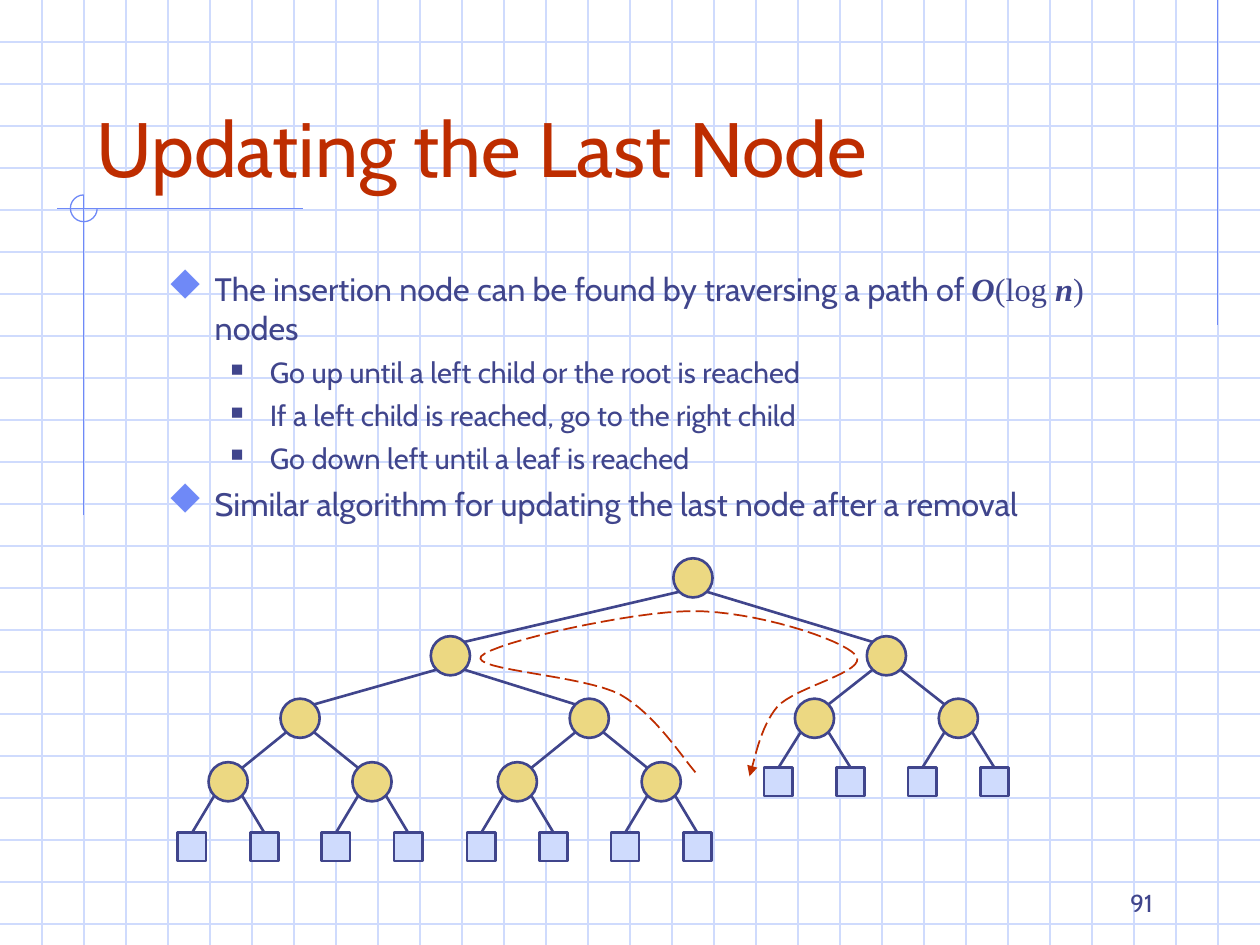
"""Build the slide "Updating the Last Node" with its heap tree and path."""
import collections

import lxml.etree
import pptx
import pptx.dml.color
import pptx.enum.dml
import pptx.enum.shapes
import pptx.enum.text
import pptx.oxml
import pptx.oxml.ns
import pptx.util

Cm, Pt = pptx.util.Cm, pptx.util.Pt
Color = pptx.dml.color.RGBColor.from_string
Kind = pptx.enum.shapes.MSO_SHAPE
Align = pptx.enum.text.PP_ALIGN
Anchor = pptx.enum.text.MSO_ANCHOR
qn = pptx.oxml.ns.qn

Theme = collections.namedtuple(
    "Theme", "ink red blue pale gold font math marks head main sub foot")
theme = Theme(
    ink=Color("40458C"), red=Color("BE2D00"), blue=Color("6F89F7"),
    pale=Color("CFDBFD"), gold=Color("ECD882"),
    font="Cabin", math="Times New Roman", marks="Wingdings",
    head=Pt(44), main=Pt(18.5), sub=Pt(16.6), foot=Pt(14))

deck = pptx.Presentation()
deck.slide_width, deck.slide_height = Cm(25.4), Cm(19.05)
slide = deck.slides.add_slide(deck.slide_layouts[6])
shapes = slide.shapes


def draw(start, end, color, width=0.75):
    """Draw a straight line between two points."""
    line = shapes.add_connector(
        pptx.enum.shapes.MSO_CONNECTOR.STRAIGHT,
        *[Cm(v) for v in (*start, *end)])
    line.line.color.rgb = color
    line.line.width = Pt(width)
    lxml.etree.SubElement(line._element.spPr, qn("a:effectLst"))


def write(place, anchor, rows):
    """Write rows of (runs, size, color, align, bullet) in a text box."""
    frame = shapes.add_textbox(*[Cm(v) for v in place]).text_frame
    frame.word_wrap = True
    frame.vertical_anchor = anchor
    for i, (runs, size, color, align, bullet) in enumerate(rows):
        para = frame.add_paragraph() if i else frame.paragraphs[0]
        if bullet:
            sign, tint, scale, left, hang, gap = bullet
            props = para._p.get_or_add_pPr()
            props.set("marL", str(Cm(left)))
            props.set("indent", str(-Cm(hang)))
            tag = lxml.etree.SubElement(props, qn("a:buClr"))
            lxml.etree.SubElement(tag, qn("a:srgbClr"), val=str(tint))
            lxml.etree.SubElement(props, qn("a:buSzPct"), val=str(scale * 1000))
            lxml.etree.SubElement(props, qn("a:buFont"), typeface=theme.marks,
                                  pitchFamily="2", charset="2")
            lxml.etree.SubElement(props, qn("a:buChar"), char=sign)
            if i:
                para.space_before = Pt(gap)
        para.alignment = align
        para.font.size, para.font.name = size, theme.font
        para.font.color.rgb = color
        for text, style in runs:
            run = para.add_run()
            run.text = text
            if style:
                run.font.name = theme.math
                run.font.bold = run.font.italic = style == "var"


step = 25.4 / 30
for i in range(1, 23):
    draw((0, i * step), (25.4, i * step), theme.pale)
for i in range(1, 30):
    draw((i * step, 0), (i * step, 19.05), theme.pale)

draw((24.55, 0), (24.55, 6.55), theme.blue)
draw((6.1, 4.2), (1.15, 4.2), theme.blue)
draw((1.69, 3.93), (1.69, 10.39), theme.blue)
arc = shapes.add_shape(Kind.ARC, Cm(1.42), Cm(3.93), Cm(0.54), Cm(0.54))
arc.adjustments[0], arc.adjustments[1] = 0, 162
arc.shadow.inherit = False
arc.fill.background()
arc.line.color.rgb = theme.blue
arc.line.width = Pt(0.75)

write((1.7, 0.84, 21.59, 3.18), Anchor.BOTTOM,
      [([("Updating the Last Node", "")], theme.head, theme.red, Align.LEFT, None)])

major = ("u", theme.blue, 110, 0.95, 0.95, 5)
minor = ("n", theme.ink, 60, 2.06, 0.79, 4.5)
points = [
    (major, [("The insertion node can be found by traversing a path of ", ""),
             ("O", "var"), ("(log ", "math"), ("n", "var"), (") ", "math"),
             ("nodes", "")]),
    (minor, [("Go up until a left child or the root is reached", "")]),
    (minor, [("If a left child is reached, go to the right child", "")]),
    (minor, [("Go down left until a leaf is reached", "")]),
    (major, [("Similar algorithm for updating the last node after a removal", "")]),
]
write((3.13, 5.3, 20.6, 5.77), Anchor.TOP,
      [(runs, theme.main if mark is major else theme.sub, theme.ink, Align.LEFT, mark)
       for mark, runs in points])

rows = [11.65, 13.22, 14.48, 15.76, 17.07]
gaps = {1: (4.89, 3.9), 2: (3.03, 2.8), **dict.fromkeys((3, 4, 5), (1.45, 1.45))}
spots = {1: (13.97, rows[0])}
first, last, reach = 12, 23, 0.28
for node in range(2, last + 1):
    top = node // 2
    side = 1 if node % 2 else -1
    x, y = spots[top]
    left, right = gaps.get(top, (0.73, 0.73))
    spots[node] = (x + (right if side > 0 else -left), rows[node.bit_length() - 1])
    a, b = spots[node]
    shift = 0 if node >= first else side * reach
    draw((x + side * reach, y + reach), (a - shift, b - reach), theme.ink, 1.5)

for node, (x, y) in spots.items():
    leaf = node >= first
    size = 0.57 if leaf else 0.79
    dot = shapes.add_shape(Kind.RECTANGLE if leaf else Kind.OVAL,
                           Cm(x - size / 2), Cm(y - size / 2), Cm(size), Cm(size))
    dot.shadow.inherit = False
    dot.fill.solid()
    dot.fill.fore_color.rgb = theme.pale if leaf else theme.gold
    dot.line.color.rgb = theme.ink
    dot.line.width = Pt(1.5)

knots = [(14.02, 15.57), (13.77, 15.29), (13.21, 14.4), (12.5, 14),
         (11.76, 13.61), (9.47, 13.51), (9.7, 13.23), (9.96, 12.95),
         (12.73, 12.32), (13.97, 12.32), (15.21, 12.32), (16.97, 12.88),
         (17.25, 13.21), (17.53, 13.54), (16.03, 13.84), (15.67, 14.25),
         (15.32, 14.66), (15.21, 15.34), (15.11, 15.65)]
trail = []
for i in range(0, len(knots) - 1, 3):
    for t in [n / 16 for n in range(1, 17)]:
        parts = ((1 - t) ** 3, 3 * t * (1 - t) ** 2, 3 * t * t * (1 - t), t ** 3)
        trail.append(tuple(
            Cm(sum(w * knot[axis] for w, knot in zip(parts, knots[i:i + 4])))
            for axis in (0, 1)))
build = shapes.build_freeform(*[Cm(v) for v in knots[0]])
build.add_line_segments(trail, close=False)
route = build.convert_to_shape()
route.shadow.inherit = False
route.fill.background()
route.line.color.rgb = theme.red
route.line.width = Pt(1)
route.line.dash_style = pptx.enum.dml.MSO_LINE.LONG_DASH
lxml.etree.SubElement(route.line._get_or_add_ln(), qn("a:tailEnd"), type="triangle")

write((18.21, 17.35, 5.28, 1.27), Anchor.BOTTOM,
      [([("91", "")], theme.foot, theme.ink, Align.RIGHT, None)])

deck.save("out.pptx")
